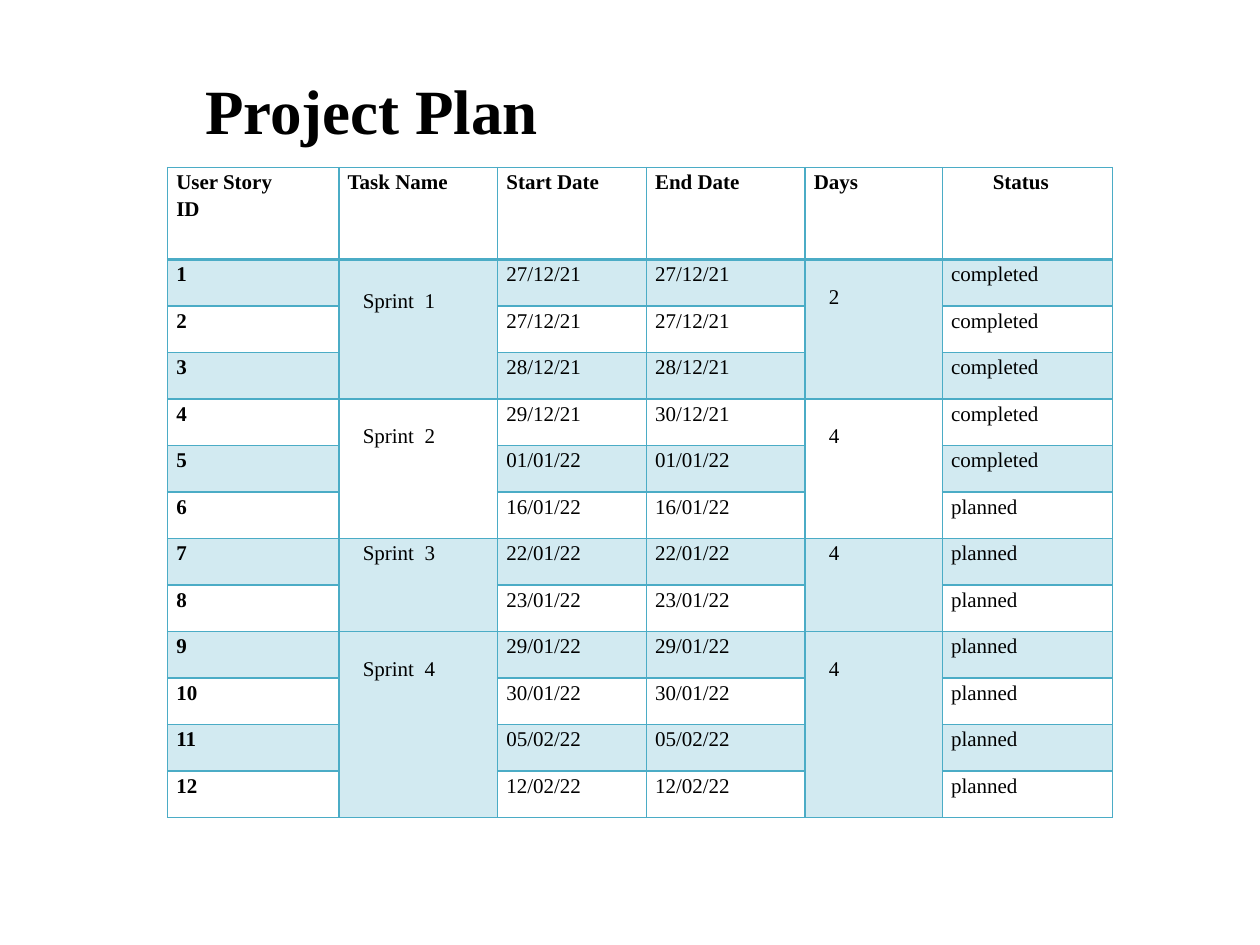
from dataclasses import dataclass
from itertools import product

from lxml import etree
from pptx import Presentation
from pptx import util as u
from pptx.dml import color
from pptx.enum import text
from pptx.oxml import ns

FONT = "Times New Roman"
BLACK, TEAL, PALE = "000000", "4BACC6", "D2EAF1"
COLUMNS = (1.36, 1.26, 1.18, 1.26, 1.09, 1.35)
HEADINGS = ("User Story\nID", "Task Name", "Start Date", "End Date", "Days", "Status")
TABLE_LEFT, TABLE_TOP, TABLE_HEIGHT, HEADER_HEIGHT = 1.33, 1.33, 5.16, 0.73
GROUP_INDENT, STATUS_INDENT = 0.12, 0.33


@dataclass
class Story:
    start: str
    end: str
    status: str


@dataclass
class Sprint:
    name: str
    days: str
    name_drop: float
    days_drop: float
    stories: tuple[Story, ...]


SPRINTS = (
    Sprint("Sprint  1", "2", 0.21, 0.18, (
        Story("27/12/21", "27/12/21", "completed"),
        Story("27/12/21", "27/12/21", "completed"),
        Story("28/12/21", "28/12/21", "completed"),
    )),
    Sprint("Sprint  2", "4", 0.18, 0.18, (
        Story("29/12/21", "30/12/21", "completed"),
        Story("01/01/22", "01/01/22", "completed"),
        Story("16/01/22", "16/01/22", "planned"),
    )),
    Sprint("Sprint  3", "4", 0, 0, (
        Story("22/01/22", "22/01/22", "planned"),
        Story("23/01/22", "23/01/22", "planned"),
    )),
    Sprint("Sprint  4", "4", 0.18, 0.18, (
        Story("29/01/22", "29/01/22", "planned"),
        Story("30/01/22", "30/01/22", "planned"),
        Story("05/02/22", "05/02/22", "planned"),
        Story("12/02/22", "12/02/22", "planned"),
    )),
)


def rgb(value: str) -> color.RGBColor:
    return color.RGBColor.from_string(value)


def write(frame, words: str, *, size: float = 12, bold: bool = False,
          align=text.PP_ALIGN.LEFT, spacing: float = 1.15) -> None:
    for index, line in enumerate(words.split("\n")):
        para = frame.add_paragraph() if index else frame.paragraphs[0]
        para.alignment = align
        para.line_spacing = spacing
        span = para.add_run()
        span.text = line
        span.font.name = FONT
        span.font.size = u.Pt(size)
        span.font.bold = bold
        span.font.color.rgb = rgb(BLACK)


def write_cell(cell, words: str, *, bold: bool = False,
               indent: float = 0, drop: float = 0) -> None:
    cell.margin_left = u.Inches(0.07 + indent)
    cell.margin_right = u.Inches(0.07)
    cell.margin_top = u.Inches(drop)
    cell.margin_bottom = 0
    write(cell.text_frame, words, bold=bold)


def border(cell, side: str, width: float) -> None:
    properties = cell._tc.get_or_add_tcPr()
    line = etree.SubElement(properties, ns.qn(f"a:ln{side}"), w=str(u.Pt(width)))
    fill = etree.SubElement(line, ns.qn("a:solidFill"))
    etree.SubElement(fill, ns.qn("a:srgbClr"), val=TEAL)


def style_cell(cell, row: int, shaded: bool) -> None:
    heavy_side = {0: "B", 1: "T"}.get(row)
    for side in "LRTB":
        border(cell, side, 2.25 if side == heavy_side else 1)
    if shaded:
        cell.fill.solid()
        cell.fill.fore_color.rgb = rgb(PALE)
    else:
        cell.fill.background()


def add_title(page) -> None:
    box = page.shapes.add_textbox(0, 0, u.Inches(5.9), u.Inches(1.22))
    frame = box.text_frame
    frame.word_wrap = True
    frame.vertical_anchor = text.MSO_ANCHOR.BOTTOM
    write(frame, "Project Plan", size=36, bold=True,
          align=text.PP_ALIGN.CENTER, spacing=1)


def add_plan(page) -> None:
    story_count = sum(len(sprint.stories) for sprint in SPRINTS)
    table = page.shapes.add_table(
        story_count + 1, len(COLUMNS), u.Inches(TABLE_LEFT), u.Inches(TABLE_TOP),
        u.Inches(sum(COLUMNS)), u.Inches(TABLE_HEIGHT)).table
    table.first_row = table.horz_banding = False
    for column, width in zip(table.columns, COLUMNS):
        column.width = u.Inches(width)
    for row in table.rows:
        row.height = u.Inches((TABLE_HEIGHT - HEADER_HEIGHT) / story_count)
    table.rows[0].height = u.Inches(HEADER_HEIGHT)

    for row, column in product(range(story_count + 1), range(len(COLUMNS))):
        style_cell(table.cell(row, column), row, row % 2 == 1)
    for column, heading in enumerate(HEADINGS):
        write_cell(table.cell(0, column), heading, bold=True,
                   indent=STATUS_INDENT if heading == "Status" else 0)

    first = 1
    for sprint in SPRINTS:
        last = first + len(sprint.stories) - 1
        for column, words, drop in ((1, sprint.name, sprint.name_drop),
                                    (4, sprint.days, sprint.days_drop)):
            group = table.cell(first, column)
            group.merge(table.cell(last, column))
            write_cell(group, words, indent=GROUP_INDENT, drop=drop)
        for row, story in enumerate(sprint.stories, first):
            write_cell(table.cell(row, 0), str(row), bold=True)
            for column, words in ((2, story.start), (3, story.end), (5, story.status)):
                write_cell(table.cell(row, column), words)
        first = last + 1


deck = Presentation()
deck.slide_width, deck.slide_height = u.Inches(10), u.Inches(7.5)
page = deck.slides.add_slide(deck.slide_layouts[6])
add_plan(page)
add_title(page)
deck.save("out.pptx")
